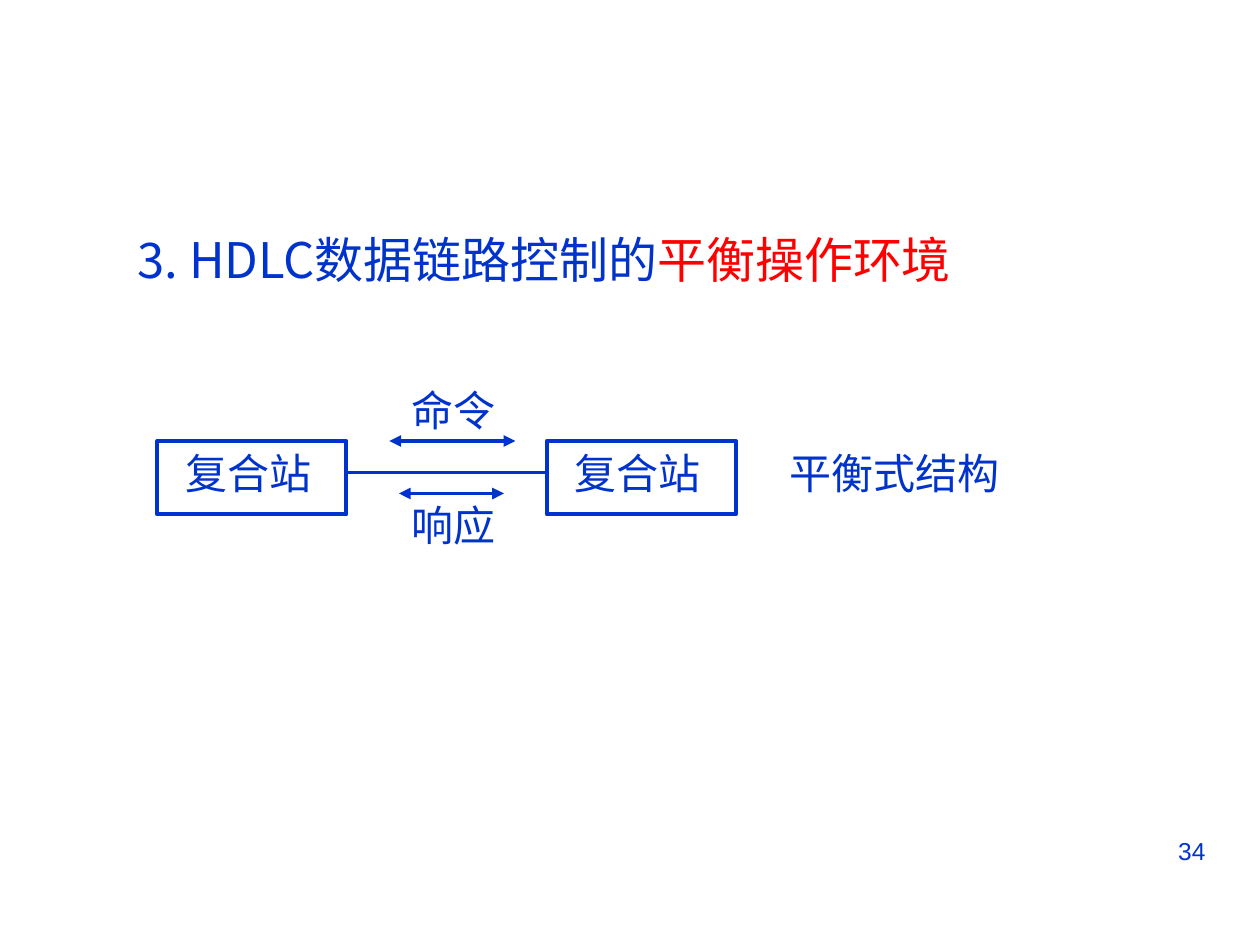
import pptx
import pptx.dml.color
import pptx.enum.shapes
import pptx.enum.text
import pptx.oxml
import pptx.oxml.ns
import pptx.util

Pt = pptx.util.Pt
BLUE = pptx.dml.color.RGBColor(0x00, 0x33, 0xCC)
RED = pptx.dml.color.RGBColor(0xFF, 0x00, 0x00)
WHITE = pptx.dml.color.RGBColor(0xFF, 0xFF, 0xFF)
SERIF = "Times New Roman"
SANS = "Noto Sans CJK SC"
LINE_WIDTH = 2.25


def add_span(para, text, size=24, font=SERIF, color=BLUE):
    """Append formatted text to a paragraph."""
    span = para.add_run()
    span.text = text
    span.font.size = Pt(size)
    span.font.name = font
    span.font.color.rgb = color
    east_asian = pptx.oxml.parse_xml(
        f'<a:ea {pptx.oxml.ns.nsdecls("a")} typeface="{SANS}"/>')
    span.font._element.find(pptx.oxml.ns.qn("a:latin")).addnext(east_asian)


def add_text(page, left, top, width, height, text, align=None, **style):
    """Place a wrapping text box and return its paragraph."""
    box = page.shapes.add_textbox(Pt(left), Pt(top), Pt(width), Pt(height))
    box.text_frame.word_wrap = True
    para = box.text_frame.paragraphs[0]
    para.alignment = align
    add_span(para, text, **style)
    return para


def add_line(page, left, right, y, arrows=False):
    """Draw a horizontal line, with arrowheads at both ends on request."""
    line = page.shapes.add_connector(
        pptx.enum.shapes.MSO_CONNECTOR.STRAIGHT, Pt(left), Pt(y), Pt(right), Pt(y))
    line.line.color.rgb = BLUE
    line.line.width = Pt(LINE_WIDTH)
    namespace = pptx.oxml.ns.nsdecls("a")
    if arrows:
        outline = line.line._get_or_add_ln()
        for end in ("headEnd", "tailEnd"):
            outline.append(pptx.oxml.parse_xml(f'<a:{end} {namespace} type="triangle"/>'))
    line._element.spPr.append(pptx.oxml.parse_xml(f"<a:effectLst {namespace}/>"))


def add_station(page, left, top, width, height):
    """Draw one combined station with its label."""
    frame = page.shapes.add_shape(
        pptx.enum.shapes.MSO_SHAPE.RECTANGLE, Pt(left), Pt(top), Pt(width), Pt(height))
    frame.shadow.inherit = False
    frame.fill.solid()
    frame.fill.fore_color.rgb = WHITE
    frame.line.color.rgb = BLUE
    frame.line.width = Pt(LINE_WIDTH)
    add_text(page, left + 9, top, 153, 36, "复合站")


def add_title(page, left, top, width, height):
    """Write the two-colour heading."""
    para = add_text(page, left, top, width, height, "3. HDLC数据链路控制的",
                    size=28, font=SANS)
    add_span(para, "平衡操作环境", size=28, font=SANS, color=RED)


def add_diagram(page, left, top, width):
    """Draw two linked stations, the exchange between them and a caption."""
    station_width, station_height = 108, 42
    second = left + width - station_width
    for station_left in (left, second):
        add_station(page, station_left, top, station_width, station_height)
    add_line(page, left + station_width, second, top + 18)
    add_text(page, left + 138, top - 36, 78, 36, "命令")
    add_line(page, left + 132.5, left + 204.5, top, arrows=True)
    add_line(page, left + 138, left + 198, top + 30, arrows=True)
    add_text(page, left + 138, top + 30, 102, 36, "响应")
    add_text(page, left + width + 23.5, top, 168, 36, "平衡式结构")


def main():
    """Build and save the deck."""
    deck = pptx.Presentation()
    deck.slide_width, deck.slide_height = Pt(720), Pt(540)
    page = deck.slides.add_slide(deck.slide_layouts[6])
    add_text(page, 516, 474, 180, 37.5, "34", size=14, font="Arial",
             align=pptx.enum.text.PP_ALIGN.RIGHT)
    add_diagram(page, 90, 252, 330.5)
    add_title(page, 71.5, 127.5, 499, 75)
    deck.save("out.pptx")


if __name__ == "__main__":
    main()
